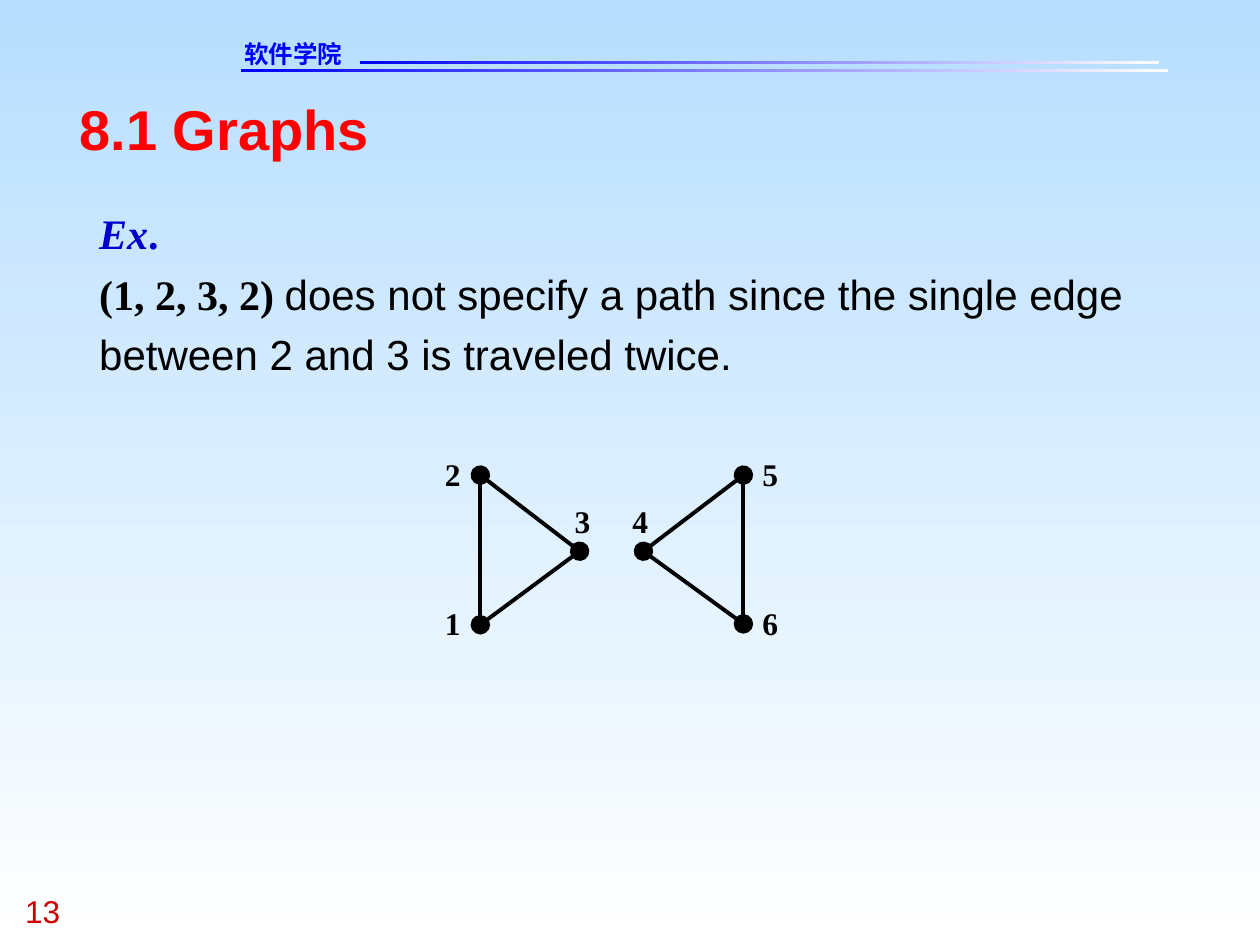
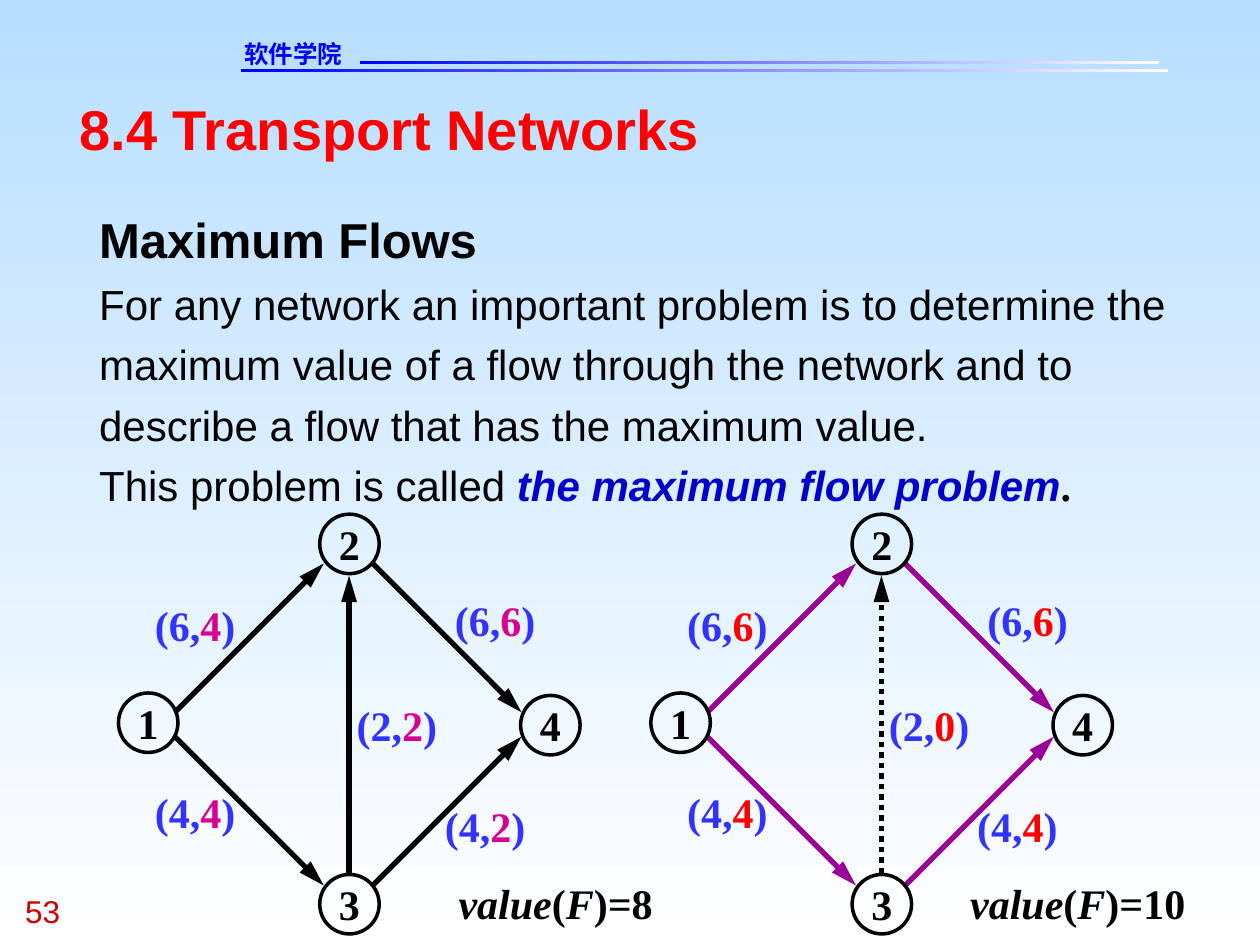
from dataclasses import dataclass, replace

from lxml import etree
from pptx import Presentation, util as u
from pptx.dml.color import RGBColor
from pptx.enum import dml, shapes, text
from pptx.oxml.ns import qn


@dataclass(frozen=True)
class Style:
    font: str
    size: float
    color: str
    bold: bool = False
    italic: bool = False


@dataclass(frozen=True)
class Theme:
    sky: str = "B7DEFF"
    white: str = "FFFFFF"
    band: str = "0000FF"
    ink: str = "000000"
    purple: str = "990099"
    pink: str = "D60093"
    red: str = "FF0000"
    title: Style = Style("Arial", 32, "FF0000", bold=True)
    school: Style = Style("DejaVu Sans", 14, "0000FF", bold=True)
    number: Style = Style("Arial", 18, "CC0000")
    heading: Style = Style("Arial", 28, "000000", bold=True)
    body: Style = Style("Arial", 24, "000000")
    term: Style = Style("Arial", 24, "0000CC", bold=True, italic=True)
    math: Style = Style("Times New Roman", 24, "000000", bold=True)
    variable: Style = Style("Times New Roman", 24, "000000", bold=True, italic=True)
    vertex: Style = Style("Times New Roman", 18, "000000", bold=True)
    capacity: Style = Style("Times New Roman", 24, "3333FF", bold=True)


THEME = Theme()
TITLE_ONLY = 5
NETWORK_SHIFT = 304.2
NODE_SIZE = 34

VERTICES = {
    1: (274.5, 357), 2: (274.5, 271.5), 3: (331.2, 315),
    4: (367.7, 315), 5: (424.8, 271.5), 6: (424.8, 356.5),
}
VERTEX_LABELS = {
    1: (254.2, 345), 2: (254.2, 260), 3: (328.3, 286.6),
    4: (361.4, 286.6), 5: (435.6, 260), 6: (435.6, 345),
}
CYCLES = [(2, 1, 3), (5, 6, 4)]

NODES = {1: (67.7, 396), 2: (182.7, 293.8), 3: (182.7, 499.7), 4: (297.5, 397.4)}
FLOW_EDGES = [
    ((100, 407), (185, 322), (88.5, 342.7), 6),
    ((213, 322), (298, 407), (260, 339.8), 6),
    ((199.5, 499), (199.5, 329), (203.8, 399.6), 2),
    ((100, 421), (185, 506), (88.5, 449.3), 4),
    ((213, 506), (298, 421), (254.2, 457.2), 4),
]


def points(*values):
    return [u.Pt(value) for value in values]


def rgb(color):
    return RGBColor.from_string(color)


def add_span(para, words, style):
    span = para.add_run()
    span.text = words
    font = span.font
    font.name, font.size = style.font, u.Pt(style.size)
    font.bold, font.italic = style.bold, style.italic
    font.color.rgb = rgb(style.color)
    etree.SubElement(span._r.get_or_add_rPr(), qn("a:ea"), typeface=style.font)


def fill_frame(frame, paragraphs, align=text.PP_ALIGN.LEFT, spacing=None):
    frame.margin_left = frame.margin_top = frame.margin_right = frame.margin_bottom = 0
    for index, spans in enumerate(paragraphs):
        para = frame.add_paragraph() if index else frame.paragraphs[0]
        para.alignment = align
        if spacing:
            para.line_spacing = spacing
        for words, style in spans:
            add_span(para, words, style)


def add_text(canvas, area, paragraphs, wrap=False, spacing=None):
    box = canvas.add_textbox(*points(*area))
    frame = box.text_frame
    frame.word_wrap = wrap
    frame.auto_size = text.MSO_AUTO_SIZE.SHAPE_TO_FIT_TEXT
    fill_frame(frame, paragraphs, spacing=spacing)


def set_gradient(fill, colors, angle):
    fill.gradient()
    fill.gradient_angle = angle
    for stop, color in zip(fill.gradient_stops, colors):
        stop.color.rgb = rgb(color)


def add_band(page, left, top, width):
    band = page.shapes.add_shape(
        shapes.MSO_SHAPE.RECTANGLE, *points(left, top, width, 1.7))
    band.shadow.inherit = False
    band.line.fill.background()
    set_gradient(band.fill, (THEME.white, THEME.band), 180)


def add_edge(canvas, start, end, color, width, tip, tip_width, dash=None):
    edge = canvas.add_connector(
        shapes.MSO_CONNECTOR.STRAIGHT, *points(*start, *end))
    edge.line.color.rgb = rgb(color)
    edge.line.width = u.Pt(width)
    if dash:
        edge.line.dash_style = dash
    properties = edge.element.spPr
    etree.SubElement(properties.find(qn("a:ln")), qn("a:tailEnd"),
                     type=tip, w=tip_width, len="lg")
    etree.SubElement(properties, qn("a:effectLst"))


def add_node(canvas, corner, label):
    node = canvas.add_shape(
        shapes.MSO_SHAPE.OVAL, *points(*corner, NODE_SIZE, NODE_SIZE))
    node.shadow.inherit = False
    node.fill.background()
    node.line.color.rgb = rgb(THEME.ink)
    node.line.width = u.Pt(2)
    node.text_frame.word_wrap = False
    node.text_frame.vertical_anchor = text.MSO_ANCHOR.MIDDLE
    fill_frame(node.text_frame, [[(str(label), THEME.math)]], text.PP_ALIGN.CENTER)


def add_page(deck, title, number):
    page = deck.slides.add_slide(deck.slide_layouts[TITLE_ONLY])
    set_gradient(page.background.fill, (THEME.sky, THEME.white), 270)
    add_band(page, 137.5, 39.5, 530)
    add_band(page, 206, 35, 456.5)
    add_text(page.shapes, (139.5, 22.3, 104.4, 16.6), [[("软件学院", THEME.school)]], wrap=True)
    add_text(page.shapes, (14.4, 509.8, 54, 21.6), [[(number, THEME.number)]], wrap=True)
    heading = page.shapes.title
    heading.left, heading.top, heading.width, heading.height = points(45.4, 54, 630, 38.2)
    heading.text_frame.vertical_anchor = text.MSO_ANCHOR.TOP
    heading.text_frame.auto_size = text.MSO_AUTO_SIZE.NONE
    fill_frame(heading.text_frame, [[(title, THEME.title)]])
    return page


def add_graph(page):
    canvas = page.shapes.add_group_shape().shapes
    for cycle in CYCLES:
        for start, end in zip(cycle, cycle[1:] + cycle[:1]):
            add_edge(canvas, VERTICES[start], VERTICES[end], THEME.ink, 2.25, "oval", "lg")
    for label, corner in VERTEX_LABELS.items():
        add_text(canvas, (*corner, 9, 21.6), [[(str(label), THEME.vertex)]])


def add_network(page, shift, flows, edge_color, flow_color, middle_dash=None):
    def moved(point):
        return point[0] + shift, point[1]

    canvas = page.shapes.add_group_shape().shapes
    for start, end, _, _ in FLOW_EDGES:
        upright = start[0] == end[0]
        add_edge(canvas, moved(start), moved(end), THEME.ink if upright else edge_color,
                 3, "triangle", "med", middle_dash if upright else None)
    flow_style = replace(THEME.capacity, color=flow_color)
    for (_, _, corner, capacity), flow in zip(FLOW_EDGES, flows):
        spans = [(f"({capacity},", THEME.capacity), (str(flow), flow_style),
                 (")", THEME.capacity)]
        add_text(canvas, (*moved(corner), 46, 28.8), [spans])
    for label, corner in NODES.items():
        add_node(canvas, moved(corner), label)


def add_flow_value(page, left, width, value):
    spans = [("value", THEME.variable), ("(", THEME.math),
             ("F", THEME.variable), (f")={value}", THEME.math)]
    add_text(page.shapes, (left, 501.2, width, 28.8), [spans])


def build_graphs_page(deck):
    page = add_page(deck, "8.1 Graphs", "13")
    blue = THEME.term.color
    add_text(page.shapes, (56.7, 113, 635, 103.7), [
        [("Ex", replace(THEME.variable, color=blue)),
         (".", replace(THEME.math, color=blue))],
        [("(1, 2, 3, 2) ", THEME.math),
         ("does not specify a path since the single edge between 2 and 3 "
          "is traveled twice.", THEME.body)],
    ], wrap=True, spacing=1.2)
    add_graph(page)


def build_networks_page(deck):
    page = add_page(deck, "8.4 Transport Networks", "53")
    add_text(page.shapes, (56.7, 113, 619.2, 178.6), [
        [("Maximum Flows", THEME.heading)],
        [("For any network an important problem is to determine the maximum value "
          "of a flow through the network and to describe a flow that has the "
          "maximum value.", THEME.body)],
        [("This problem is called ", THEME.body),
         ("the maximum flow problem", THEME.term), (".", THEME.math)],
    ], wrap=True, spacing=1.2)
    add_network(page, 0, (4, 6, 2, 4, 2), THEME.ink, THEME.pink)
    add_network(page, NETWORK_SHIFT, (6, 6, 0, 4, 4), THEME.purple, THEME.red,
                dml.MSO_LINE.ROUND_DOT)
    add_flow_value(page, 262, 111, 8)
    add_flow_value(page, 554.4, 123, 10)


def main():
    deck = Presentation()
    deck.slide_width, deck.slide_height = points(720, 540)
    build_graphs_page(deck)
    build_networks_page(deck)
    deck.save("out.pptx")


if __name__ == "__main__":
    main()
